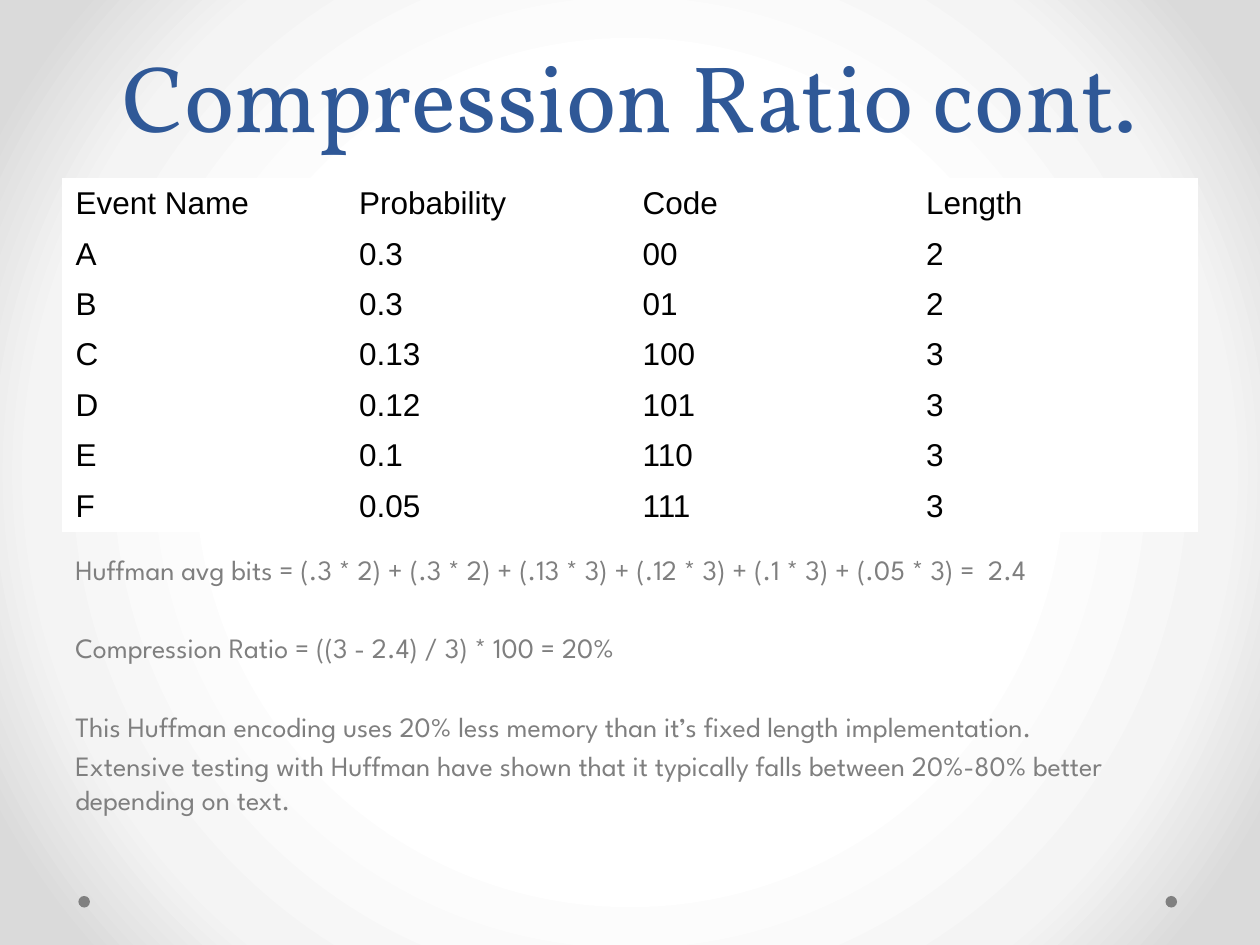
from pptx import Presentation
from pptx.dml.color import RGBColor
from pptx.enum.shapes import MSO_SHAPE as Shape
from pptx.enum.text import MSO_ANCHOR as Anchor, PP_ALIGN as Align
from pptx.oxml import parse_xml
from pptx.oxml.ns import nsdecls
from pptx.util import Pt

COLORS = {
    "title": "2F5897", "body": "7F7F7F", "dot": "808080",
    "cell": "FFFFFF", "cell_text": "000000",
    "center": "FFFFFF", "middle": "F4F4F4", "edge": "DADADA",
}
BACKGROUND_STOPS = [(50, "center"), (76, "middle"), (92, "edge")]
LEFT, WIDTH = 36, 648

CODE_ROWS = [
    ("Event Name", "Probability", "Code", "Length"),
    ("A", "0.3", "00", "2"),
    ("B", "0.3", "01", "2"),
    ("C", "0.13", "100", "3"),
    ("D", "0.12", "101", "3"),
    ("E", "0.1", "110", "3"),
    ("F", "0.05", "111", "3"),
]
ROW_HEIGHT = 27.4

# Each line of text with the space before it
LINE_GAP, BLOCK_GAP = 3.2, 25.8
BODY_LINES = [
    ("Huffman avg bits = (.3 * 2) + (.3 * 2) + (.13 * 3) + (.12 * 3)"
     " + (.1 * 3) + (.05 * 3) =  2.4", 0),
    ("Compression Ratio = ((3 - 2.4) / 3) * 100 = 20%", BLOCK_GAP),
    ("This Huffman encoding uses 20% less memory than it’s fixed length"
     " implementation.", BLOCK_GAP),
    ("Extensive testing with Huffman have shown that it typically falls"
     " between 20%-80% better depending on text.", LINE_GAP),
]


def color(name):
    return RGBColor.from_string(COLORS[name])


def set_all(target, values):
    for name, value in values.items():
        setattr(target, name, value)


def write(para, text, font, size, color_name):
    span = para.add_run()
    span.text = text
    set_all(span.font, {"name": font, "size": Pt(size), "bold": False})
    span.font.color.rgb = color(color_name)


def set_background(page):
    stops = "".join(
        f'<a:gs pos="{percent * 1000}"><a:srgbClr val="{COLORS[name]}"/></a:gs>'
        for percent, name in BACKGROUND_STOPS)
    page.element.cSld.insert(0, parse_xml(
        f'<p:bg {nsdecls("p", "a")}><p:bgPr><a:gradFill rotWithShape="1">'
        f'<a:gsLst>{stops}</a:gsLst><a:path path="circle">'
        '<a:fillToRect l="50000" t="50000" r="50000" b="50000"/></a:path>'
        '</a:gradFill><a:effectLst/></p:bgPr></p:bg>'))


def add_dot(page, left):
    dot = page.shapes.add_shape(
        Shape.OVAL, Pt(left), Pt(512), Pt(6.6), Pt(6.6))
    dot.shadow.inherit = False
    dot.fill.solid()
    dot.fill.fore_color.rgb = color("dot")
    dot.line.fill.background()


def add_text_frame(page, top, height, anchor):
    box = page.shapes.add_textbox(Pt(LEFT), Pt(top), Pt(WIDTH), Pt(height))
    set_all(box.text_frame, {"word_wrap": True, "vertical_anchor": anchor})
    return box.text_frame


def add_title(page, text):
    para = add_text_frame(page, -36, 126, Anchor.BOTTOM).paragraphs[0]
    set_all(para, {"alignment": Align.CENTER, "line_spacing": Pt(58)})
    write(para, text, "Vollkorn", 54, "title")


def add_body(page, lines):
    frame = add_text_frame(page, 312, 356, Anchor.TOP)
    for index, (text, gap) in enumerate(lines):
        para = frame.add_paragraph() if index else frame.paragraphs[0]
        para.space_before = Pt(gap)
        write(para, text, "League Spartan", 16, "body")


def add_code_table(page, rows):
    table = page.shapes.add_table(
        len(rows), len(rows[0]), Pt(LEFT), Pt(102), Pt(WIDTH),
        Pt(ROW_HEIGHT * len(rows))).table
    set_all(table, {"first_row": False, "horz_banding": False})
    for row_index, row in enumerate(rows):
        for column_index, text in enumerate(row):
            cell = table.cell(row_index, column_index)
            cell.vertical_anchor = Anchor.MIDDLE
            cell.fill.solid()
            cell.fill.fore_color.rgb = color("cell")
            write(cell.text_frame.paragraphs[0], text, "Arial", 18, "cell_text")


def main():
    deck = Presentation()
    set_all(deck, {"slide_width": Pt(720), "slide_height": Pt(540)})
    page = deck.slides.add_slide(deck.slide_layouts[6])

    # Backdrop with the two corner dots
    set_background(page)
    for left in (666, 44.8):
        add_dot(page, left)

    # Title, explanation and code table
    add_title(page, "Compression Ratio cont.")
    add_body(page, BODY_LINES)
    add_code_table(page, CODE_ROWS)

    deck.save("out.pptx")


if __name__ == "__main__":
    main()
